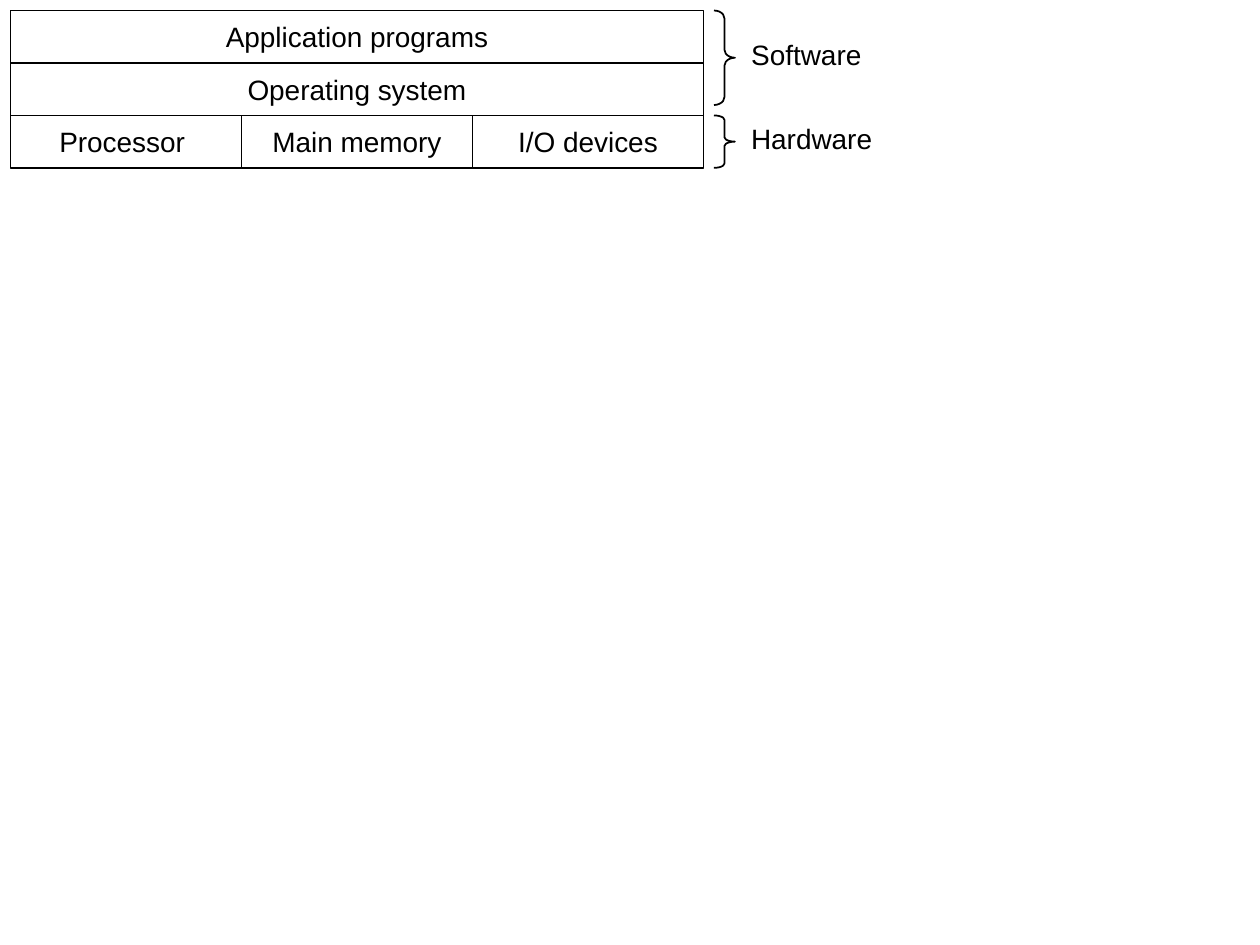
from dataclasses import dataclass

from pptx import Presentation
from pptx.dml.color import RGBColor
from pptx.enum.shapes import MSO_SHAPE
from pptx.enum.text import MSO_ANCHOR, PP_ALIGN
from pptx.util import Pt

RECTANGLE, BRACE = MSO_SHAPE.RECTANGLE, MSO_SHAPE.RIGHT_BRACE
MIDDLE, CENTER = MSO_ANCHOR.MIDDLE, PP_ALIGN.CENTER

PX = 7620  # EMU per px, 120 px to the inch
SLIDE_WIDTH, SLIDE_HEIGHT = 1200, 900
ROW_HEIGHT = 50
BRACE_WIDTH = 20
LABEL_HEIGHT = 44

LAYERS = [
    ["Application programs"],
    ["Operating system"],
    ["Processor ", "Main memory", "I/O devices"],
]
# label, label width, brace top, brace height
GROUPS = [("Software", 130, 10, 90), ("Hardware", 140, 110, 50)]


@dataclass(frozen=True)
class Theme:
    ink: RGBColor = RGBColor(0, 0, 0)
    font: str = "Arial"
    text_size: Pt = Pt(16)
    line_width: Pt = Pt(1)


THEME = Theme()


def emu(*lengths):
    return [length * PX for length in lengths]


def write(shape, text):
    frame = shape.text_frame
    frame.word_wrap = False
    frame.vertical_anchor = MIDDLE
    paragraph = frame.paragraphs[0]
    paragraph.alignment = CENTER
    run = paragraph.add_run()
    run.text = text
    for name, value in {"name": THEME.font, "size": THEME.text_size}.items():
        setattr(run.font, name, value)
    run.font.color.rgb = THEME.ink


def add_outline(slide, kind, *box):
    shape = slide.shapes.add_shape(kind, *emu(*box))
    shape.shadow.inherit = False
    shape.fill.background()
    shape.line.color.rgb = THEME.ink
    shape.line.width = THEME.line_width
    return shape


def add_layers(slide, left, top, width):
    """Stack the layers, splitting each row evenly between its parts."""
    for row, parts in enumerate(LAYERS):
        part_width = width // len(parts)
        for column, part in enumerate(parts):
            cell = add_outline(slide, RECTANGLE, left + column * part_width,
                               top + row * ROW_HEIGHT, part_width, ROW_HEIGHT)
            write(cell, part)


def add_group(slide, left, top, height, label, label_width):
    """Bracket some rows with a brace and put their label beside its tip."""
    brace = add_outline(slide, BRACE, left, top, BRACE_WIDTH, height)
    brace.adjustments[0] = height / 12 / BRACE_WIDTH  # curls take 1/12 of the height
    label_top = top + height // 2 - 25
    caption = slide.shapes.add_textbox(
        *emu(left + BRACE_WIDTH + 3, label_top, label_width, LABEL_HEIGHT))
    write(caption, label)


def main():
    deck = Presentation()
    deck.slide_width, deck.slide_height = emu(SLIDE_WIDTH, SLIDE_HEIGHT)
    slide = deck.slides.add_slide(deck.slide_layouts[6])
    add_layers(slide, 10, 10, 660)
    for label, label_width, top, height in GROUPS:
        add_group(slide, 680, top, height, label, label_width)
    deck.save("out.pptx")


if __name__ == "__main__":
    main()
